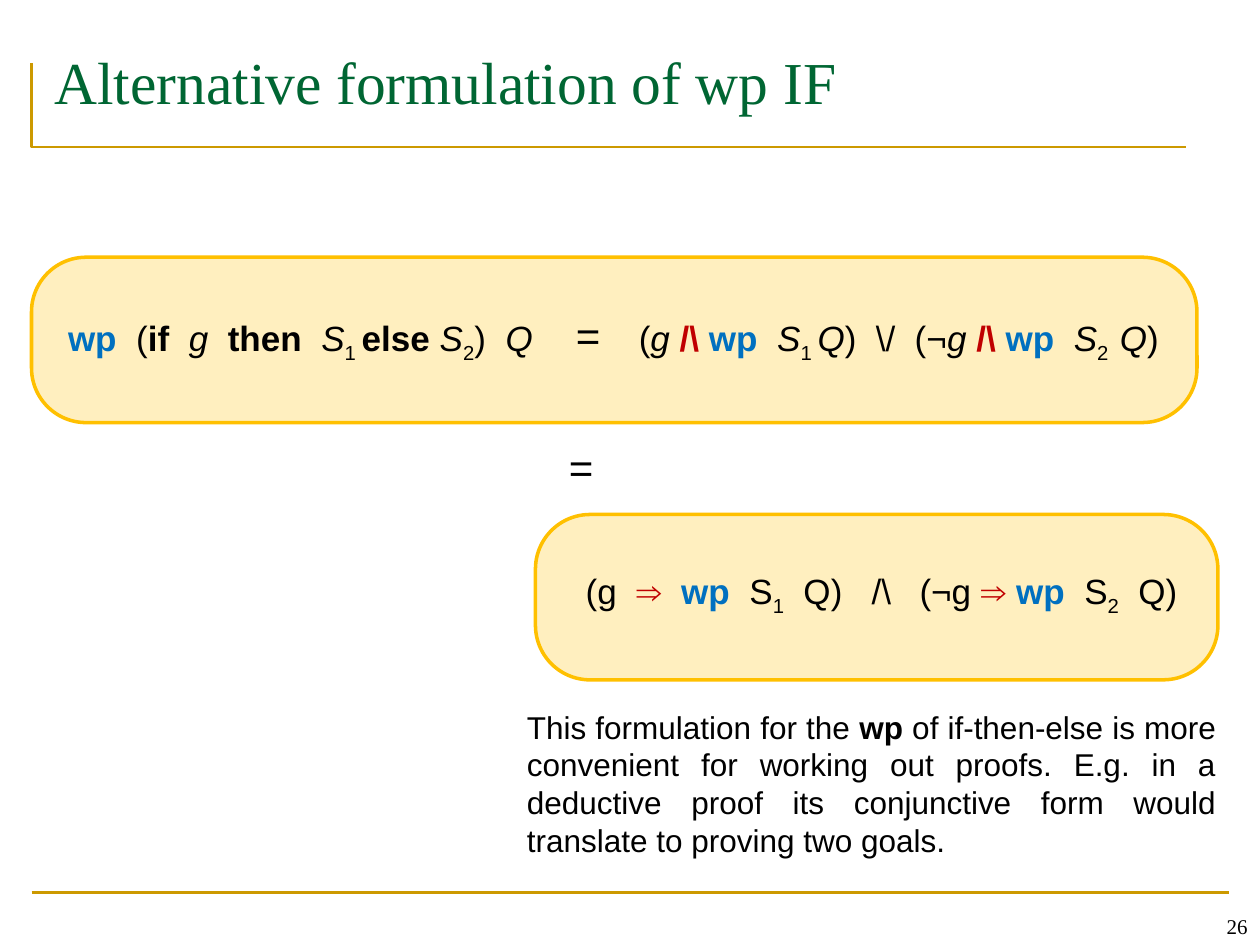
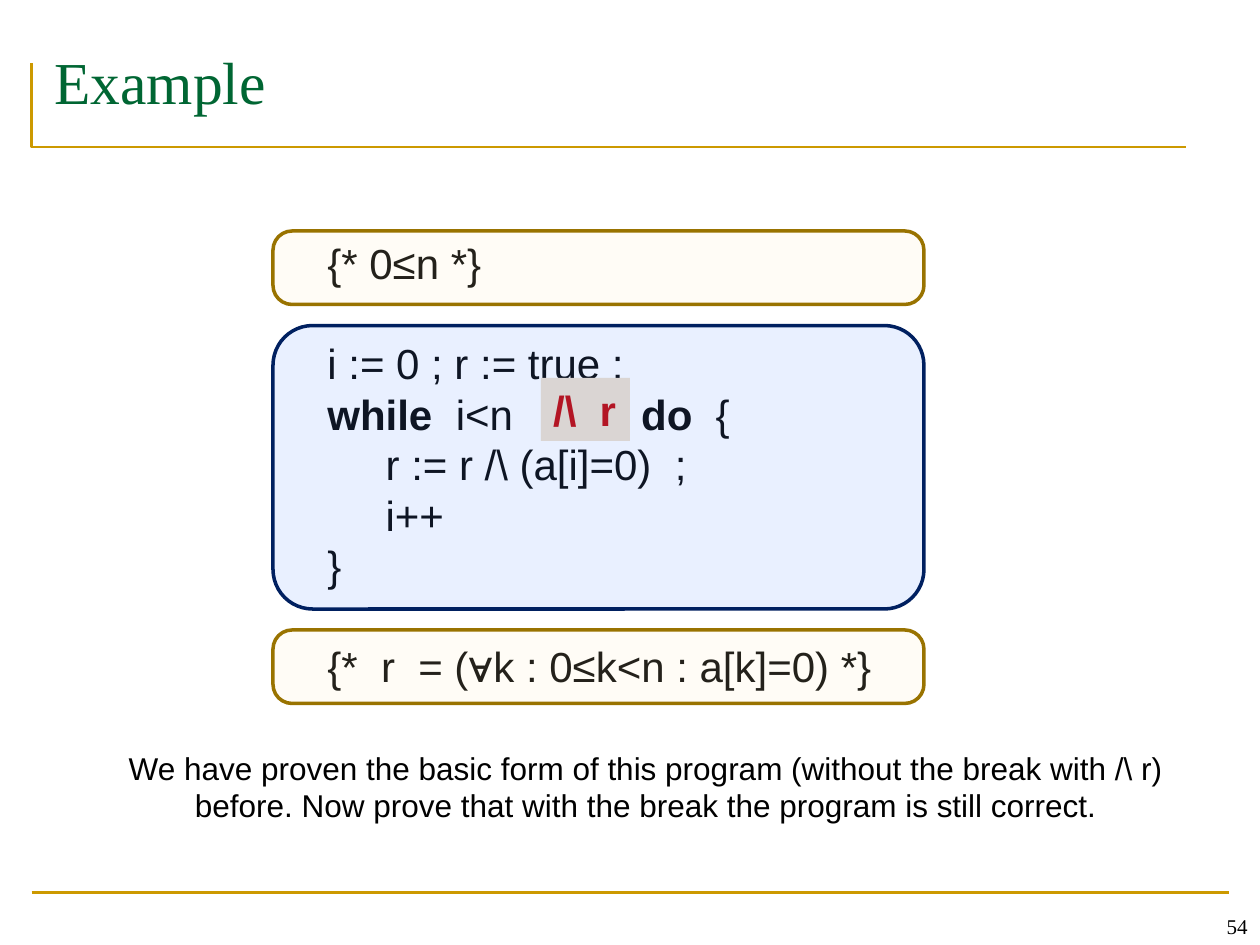
import dataclasses

import lxml.etree
import pptx
import pptx.dml.color
import pptx.enum.shapes
import pptx.enum.text
import pptx.oxml.ns
import pptx.util

ALIGN = pptx.enum.text.PP_ALIGN
ANCHOR = pptx.enum.text.MSO_ANCHOR
SHAPE = pptx.enum.shapes.MSO_SHAPE
qn = pptx.oxml.ns.qn


@dataclasses.dataclass(frozen=True)
class Theme:
    # Colours
    ink: str = "000000"
    title: str = "006633"
    rule: str = "CC9900"
    blue: str = "0070C0"
    red: str = "C00000"
    amber: str = "FFC000"
    cream: str = "FFF0C2"
    brown: str = "997300"
    sky: str = "6699FF"
    navy: str = "002060"
    sand: str = "EEDFCC"
    # Fonts and type sizes in points
    sans: str = "Arial"
    serif: str = "Times New Roman"
    head: int = 34
    code: int = 24
    math: int = 20
    prose: int = 18
    small: int = 12
    lead: float = 1.2


THEME = Theme()


def rgb(code):
    return pptx.dml.color.RGBColor.from_string(code)


def write(frame, text, size=THEME.prose, color=THEME.ink, font=THEME.sans,
          align=ALIGN.LEFT, anchor=ANCHOR.TOP, lead=None, tabs=()):
    """Fill a frame with paragraphs, each a string or a list of runs.

    A run is a string or (string, marks): b bold, i italic, s subscript,
    B blue, R red, L code size. Tabs are in inches, lead in points.
    """
    frame.word_wrap = True
    frame.auto_size = pptx.enum.text.MSO_AUTO_SIZE.NONE
    frame.vertical_anchor = anchor
    for n, runs in enumerate([text] if isinstance(text, str) else text):
        para = frame.paragraphs[0] if n == 0 else frame.add_paragraph()
        if tabs:
            stops = lxml.etree.SubElement(para._p.get_or_add_pPr(), qn("a:tabLst"))
            for stop in tabs:
                lxml.etree.SubElement(stops, qn("a:tab"), algn="l",
                                      pos=str(pptx.util.Inches(stop)))
        para.alignment = align
        para.space_before = pptx.util.Pt(0)
        para.line_spacing = pptx.util.Pt(lead or size * THEME.lead)
        for part in [runs] if isinstance(runs, str) else runs:
            words, marks = (part, "") if isinstance(part, str) else part
            run = para.add_run()
            run.text = words
            face = run.font
            face.name = font
            face.size = pptx.util.Pt(THEME.code if "L" in marks else size)
            face.bold = "b" in marks
            face.italic = "i" in marks
            tint = THEME.blue if "B" in marks else THEME.red if "R" in marks else color
            face.color.rgb = rgb(tint)
            if "s" in marks:
                run._r.get_or_add_rPr().set("baseline", "-25000")


class Deck:
    """Slides on a grid of 120 columns and 90 rows."""

    def __init__(self, theme):
        self.theme = theme
        self.show = pptx.Presentation()
        self.show.slide_width = pptx.util.Inches(10)
        self.show.slide_height = pptx.util.Inches(7.5)
        self.slide = None

    def x(self, cols):
        return round(self.show.slide_width * cols / 120)

    def y(self, rows):
        return round(self.show.slide_height * rows / 90)

    def area(self, col, row, cols, rows):
        return self.x(col), self.y(row), self.x(cols), self.y(rows)

    def stroke(self, item, color, width):
        item.line.color.rgb = rgb(color)
        item.line.width = pptx.util.Pt(width)

    def page(self, title, number):
        """Start a slide with its title, rules and number."""
        look = self.theme
        self.slide = self.show.slides.add_slide(self.show.slide_layouts[5])
        self.corner()
        self.rule(3, 85, 117, 85)
        head = self.slide.shapes.title
        head.left, head.top, head.width, head.height = self.area(4, 3.7, 112, 10.3)
        write(head.text_frame, title, size=look.head, color=look.title, font=look.serif)
        self.text((92, 84, 28, 6), number, size=look.small, font=look.serif,
                  align=ALIGN.RIGHT, anchor=ANCHOR.BOTTOM)

    def corner(self):
        pen = self.slide.shapes.build_freeform(self.x(3), self.y(6))
        pen.add_line_segments([(self.x(3), self.y(14)), (self.x(113), self.y(14))],
                              close=False)
        item = pen.convert_to_shape()
        item.shadow.inherit = False
        item.fill.background()
        self.stroke(item, self.theme.rule, 1.5)

    def rule(self, left, top, right, low):
        item = self.slide.shapes.add_connector(
            pptx.enum.shapes.MSO_CONNECTOR.STRAIGHT,
            self.x(left), self.y(top), self.x(right), self.y(low))
        self.stroke(item, self.theme.rule, 1.5)
        lxml.etree.SubElement(item._element.spPr, qn("a:effectLst"))

    def text(self, area, words, **style):
        box = self.slide.shapes.add_textbox(*self.area(*area))
        write(box.text_frame, words, **style)

    def block(self, kind, area, fill):
        item = self.slide.shapes.add_shape(kind, *self.area(*area))
        item.shadow.inherit = False
        item.fill.solid()
        item.fill.fore_color.rgb = rgb(fill)
        return item

    def panel(self, area, fill, line, alpha, curve):
        """Draw a rounded panel with a see-through fill."""
        item = self.block(SHAPE.ROUNDED_RECTANGLE, area, fill)
        item.adjustments[0] = curve
        self.stroke(item, line, 2)
        tint = item._element.spPr.xpath("a:solidFill/a:srgbClr")[0]
        lxml.etree.SubElement(tint, qn("a:alpha"), val=str(alpha * 1000))

    def tag(self, area, words, fill, **style):
        item = self.block(SHAPE.RECTANGLE, area, fill)
        item.line.fill.background()
        write(item.text_frame, [[(words, "bR")]], **style)


def formula(deck):
    look = deck.theme
    deck.page("Alternative formulation of wp IF", "26")

    # Panels
    for area in ((51, 49, 65, 15.75), (3, 24.5, 111, 15.75)):
        deck.panel(area, look.amber, look.amber, 25, 0.33)

    # Definition with the disjunctive form
    deck.text((5.3, 29.3, 113, 6), [[
        ("wp", "bB"), "  (", ("if  ", "b"), ("g  ", "i"), ("then  ", "b"),
        ("S", "i"), ("1 ", "s"), ("else ", "b"), ("S", "i"), ("2", "s"), ")  ",
        ("Q\t", "i"), ("=", "L"), "\t(", ("g ", "i"), ("/\\ ", "bR"),
        ("wp  ", "bB"), ("S", "i"), ("1 ", "s"), ("Q", "i"), ")  \\/  (¬",
        ("g ", "i"), ("/\\ ", "bR"), ("wp  ", "bB"), ("S", "i"), ("2  ", "s"),
        ("Q", "i"), ")",
    ]], size=look.math, lead=look.code * look.lead, tabs=(4.03, 4.53))
    deck.text((53, 41.5, 6, 6), "=", size=look.code)

    # Conjunctive form
    deck.text((54.6, 54.2, 60, 5.3), [[
        "(g  ", ("⇒  ", "bR"), ("wp", "bB"), "  S", ("1", "s"),
        "  Q)\t/\\\t(¬g ", ("⇒ ", "bR"), ("wp", "bB"), "  S", ("2", "s"), "  Q)",
    ]], size=look.math, tabs=(2.27, 2.65))

    # Remark
    deck.text((49, 66.8, 68, 15.7), [[
        "This formulation for the ", ("wp", "b"),
        " of if-then-else is more convenient for working out proofs. E.g. in a "
        "deductive proof its conjunctive form would translate to proving two goals.",
    ]], align=ALIGN.JUSTIFY)


def example(deck):
    look = deck.theme
    deck.page("Example", "54")

    # Condition, program, condition: set on one run of equal lines
    parts = (
        (0, ["{* 0≤n *}"]),
        (2, ["i := 0 ; r := true ;",
             [("while  ", "b"), "i<n\t", ("do", "b"), "  {"],
             "     r := r /\\ (a[i]=0)  ;",
             "     i++",
             "}"]),
        (8, ["{*  r  = (∀k : 0≤k<n : a[k]=0) *}"]),
    )
    pitch = 4.8
    for line, words in parts:
        deck.text((30, 22 + line * pitch, 58, len(words) * pitch + 1.2), words,
                  size=look.code, tabs=(2.49,))
    deck.tag((51.5, 36, 8.5, 6), "/\\  r", look.sand, size=look.code)

    # Tinted panels over the text
    deck.panel((26, 31, 62, 27), look.sky, look.navy, 14, 0.14)
    for row in (22, 60):
        deck.panel((26, row, 62, 7), look.cream, look.brown, 14, 0.26)

    # Task
    deck.text((7, 70.7, 109, 8.5),
              "We have proven the basic form of this program (without the break with "
              "/\\ r) before. Now prove that with the break the program is still correct.",
              align=ALIGN.CENTER)


def main():
    deck = Deck(THEME)
    formula(deck)
    example(deck)
    deck.show.save("out.pptx")


if __name__ == "__main__":
    main()
